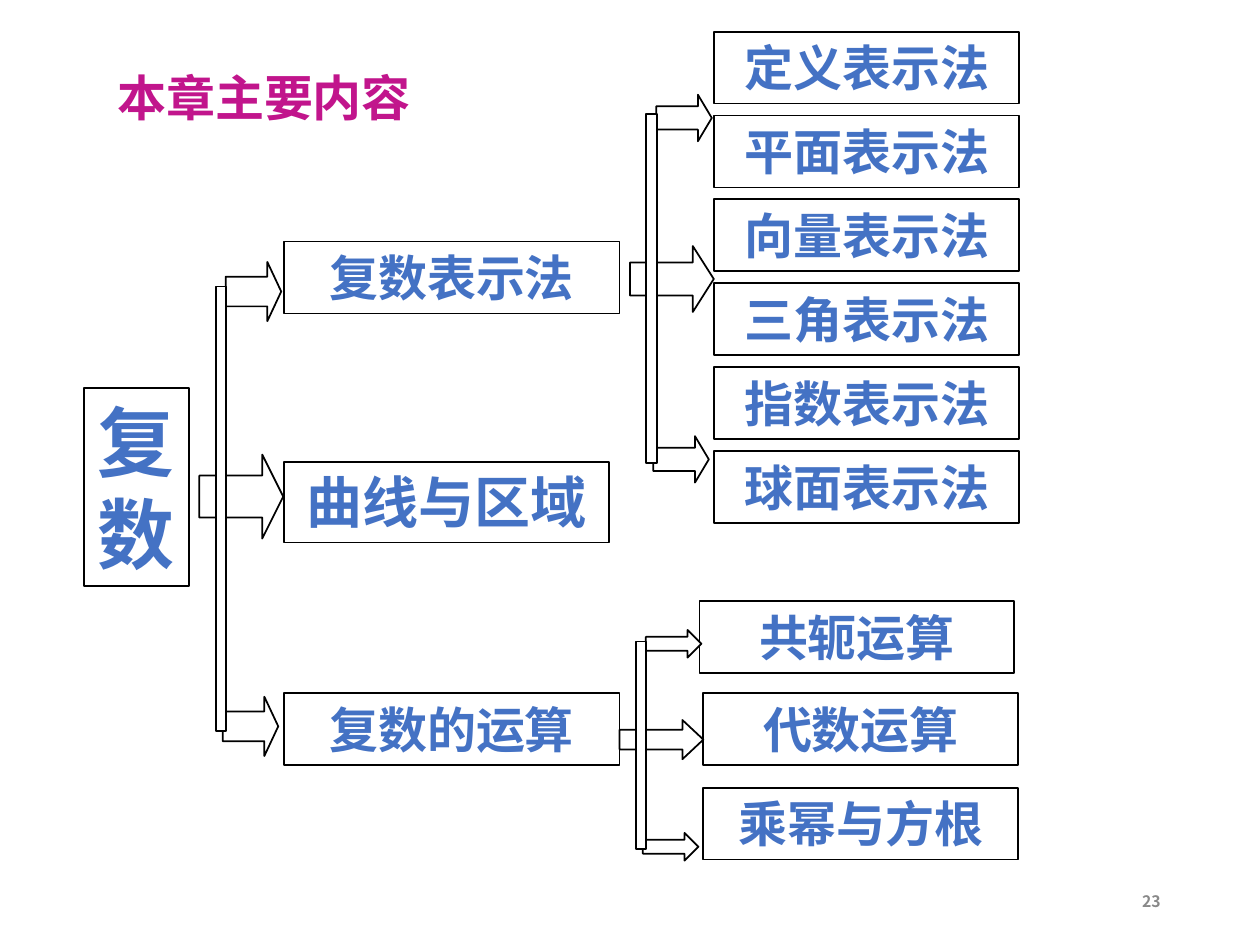
from lxml.etree import SubElement
from pptx import Presentation
from pptx.dml.color import RGBColor
from pptx.enum.shapes import MSO_SHAPE as Preset
from pptx.enum.text import MSO_ANCHOR as Anchor, MSO_AUTO_SIZE as AutoSize, PP_ALIGN as Align
from pptx.oxml.ns import qn
from pptx.util import Cm, Pt

TITLE = ("本章主要内容", (2.11, 1.07, 6.98, 1.9))
PAGE_NUMBER = ("23", (17.93, 17.65, 5.72, 1.02))

# text, (left, top, width, height) in cm, text size
TOPICS = [
    ("复数", (1.69, 7.83, 2.12, 3.99), 44),
    ("复数表示法", (5.72, 4.87, 6.77, 1.45), 28),
    ("曲线与区域", (5.72, 9.31, 6.56, 1.63), 32),
    ("复数的运算", (5.72, 13.97, 6.77, 1.45), 28),
    ("共轭运算", (14.1, 12.12, 6.35, 1.45), 28),
    ("代数运算", (14.18, 13.97, 6.35, 1.45), 28),
    ("乘幂与方根", (14.18, 15.88, 6.35, 1.45), 28),
]
REPRESENTATIONS = ["定义表示法", "平面表示法", "向量表示法",
                   "三角表示法", "指数表示法", "球面表示法"]
REPRESENTATION_TOP, REPRESENTATION_PITCH = 0.64, 1.69

# left, top, height in cm
BRACKETS = [(4.02, 5.28, 9.96), (12.7, 1.91, 7.82), (12.49, 12.7, 4.65)]
# preset, left and width in cm, top and height as a share of the bracket height
BRACKET_PARTS = [
    (Preset.RIGHT_ARROW, 0.47, 1.12, 0.88, 0.12),
    (Preset.RIGHT_ARROW, 0.53, 1.12, 0, 0.12),
    (Preset.RIGHT_ARROW, 0, 1.69, 0.39, 0.17),
    (Preset.RECTANGLE, 0.33, 0.21, 0.05, 0.9),
]

LATIN_FONT, BOX_FONT = "Noto Sans CJK SC", "Noto Sans CJK JP"


def rgb(code):
    return RGBColor.from_string(code)


def lengths(values):
    return [Cm(value) for value in values]


def write(shape, text, size, color, font_name, align, **frame_format):
    frame = shape.text_frame
    for name, value in {"word_wrap": True, **frame_format}.items():
        setattr(frame, name, value)
    paragraph = frame.paragraphs[0]
    paragraph.alignment = align
    run = paragraph.add_run()
    run.text = text
    for name, value in {"size": Pt(size), "bold": True, "name": font_name}.items():
        setattr(run.font, name, value)
    run.font.color.rgb = rgb(color)
    SubElement(run.font._element, qn("a:ea"), typeface=font_name)
    return paragraph


def add_outlined(shapes, preset, *place):
    shape = shapes.add_shape(preset, *lengths(place))
    shape.shadow.inherit = False
    shape.fill.solid()
    shape.fill.fore_color.rgb = rgb("FFFFFF")
    shape.line.color.rgb = rgb("000000")
    shape.line.width = Pt(1)
    return shape


def add_bracket(shapes, left, top, height):
    """Group a vertical bar with its three arrows."""
    group = shapes.add_group_shape()
    for preset, dx, width, top_share, height_share in BRACKET_PARTS:
        part_height = height * height_share
        part = add_outlined(group.shapes, preset, left + dx,
                            top + height * top_share, width, part_height)
        if preset == Preset.RIGHT_ARROW:
            # The head is a quarter of the arrow's length.
            part.adjustments[1] = width / 4 / min(width, part_height)


def main():
    deck = Presentation()
    deck.slide_width, deck.slide_height = lengths((25.4, 19.05))
    slide = deck.slides.add_slide(deck.slide_layouts[5])
    shapes = slide.shapes

    title_text, title_place = TITLE
    title = shapes.title
    title.left, title.top, title.width, title.height = lengths(title_place)
    heading = write(title, title_text, 28, "C1158C", LATIN_FONT, Align.LEFT,
                    vertical_anchor=Anchor.MIDDLE, auto_size=AutoSize.NONE)
    heading.line_spacing = 0.9

    number_text, number_place = PAGE_NUMBER
    write(shapes.add_textbox(*lengths(number_place)), number_text, 9, "898989",
          LATIN_FONT, Align.RIGHT, vertical_anchor=Anchor.MIDDLE)

    representations = [
        (text, (14.4, REPRESENTATION_TOP + row * REPRESENTATION_PITCH, 6.15, 1.45), 28)
        for row, text in enumerate(REPRESENTATIONS)
    ]
    for text, place, size in TOPICS + representations:
        box = add_outlined(shapes, Preset.RECTANGLE, *place)
        write(box, text, size, "4472C4", BOX_FONT, Align.CENTER,
              vertical_anchor=Anchor.TOP, auto_size=AutoSize.SHAPE_TO_FIT_TEXT)

    for bracket in BRACKETS:
        add_bracket(shapes, *bracket)

    deck.save("out.pptx")


if __name__ == "__main__":
    main()
